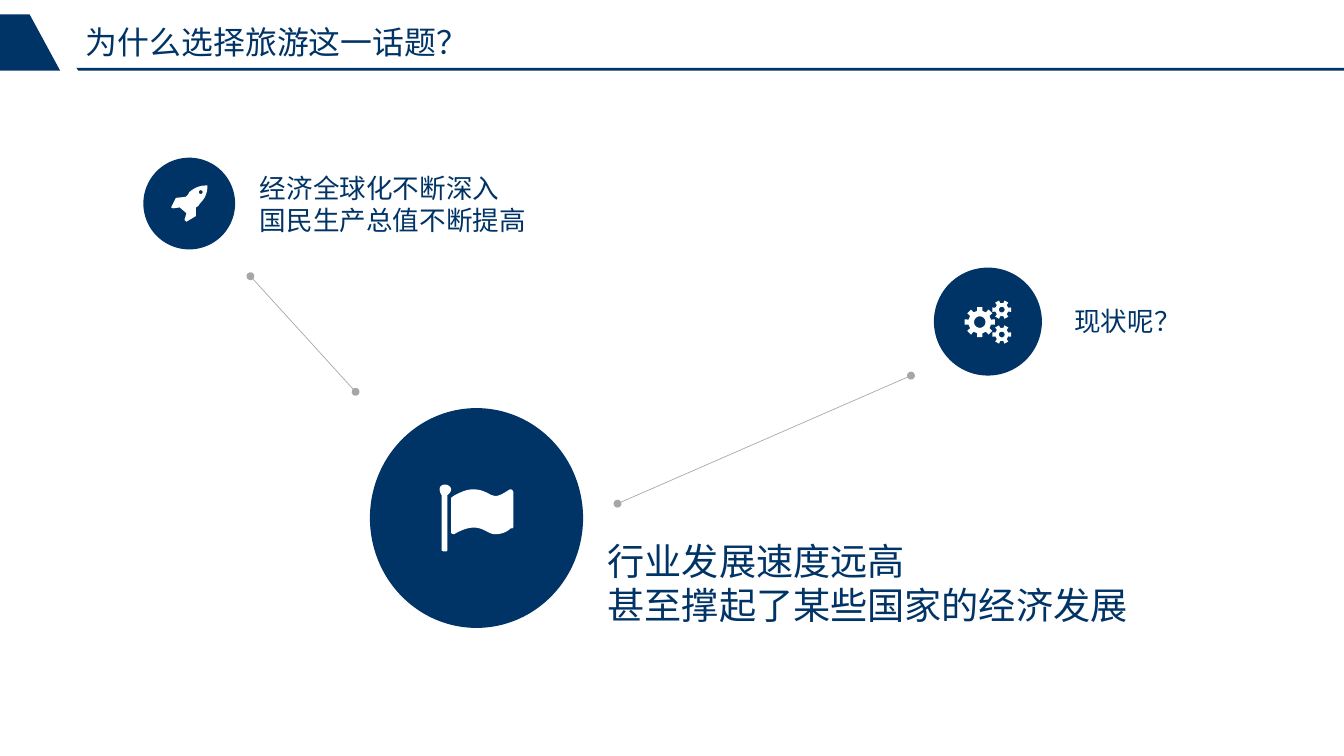
from math import cos, sin, pi, tau
from pptx import Presentation
from pptx import util as u
from pptx.dml.color import RGBColor
from pptx.enum import shapes, text
from pptx.oxml.ns import qn
from lxml import etree

NAVY = RGBColor(0x00, 0x33, 0x66)
GREY = RGBColor(0xA6, 0xA6, 0xA6)
WHITE = RGBColor(0xFF, 0xFF, 0xFF)
FONT = "Noto Sans CJK SC"

TEXTS = [
    (0.8, 0.19, 4.24, 0.5, 24, ["为什么选择旅游这一话题？"]),
    (2.62, 1.75, 3.01, 0.77, 20, ["经济全球化不断深入", "国民生产总值不断提高"]),
    (6.26, 5.58, 5.7, 1.04, 28, ["行业发展速度远高", "甚至撑起了某些国家的经济发展"]),
    (11.14, 3.14, 1.32, 0.44, 20, ["现状呢？"]),
]
DISCS = [(1.5, 1.65, 0.96, 0.96), (3.87, 4.27, 2.23, 2.3), (9.77, 2.8, 1.13, 1.13)]
LINKS = [(6.46, 5.27, 9.53, 3.93), (2.62, 2.89, 3.72, 4.1)]
RULE = [(0.8, 0.71), (14.06, 0.71), (14.06, 0.74), (0.82, 0.74)]
TAB = [(0.31, 0.15), (0.63, 0.74), (0, 0.74), (0, 0.15)]

ROCKET = [
    (2.09, 2.13), (2.08, 2.15, 2.07, 2.16, 2.05, 2.17), (2.05, 2.26), (1.95, 2.32),
    (1.93, 2.3), (1.95, 2.23), (1.88, 2.17), (1.81, 2.18), (1.79, 2.17), (1.84, 2.07),
    (1.94, 2.06), (1.96, 2.05, 1.97, 2.03, 1.98, 2.01), (2.04, 1.96, 2.09, 1.94, 2.17, 1.94),
    (2.17, 2.02, 2.15, 2.07, 2.09, 2.13),
]
POLE = [
    (4.68, 5.18), (4.68, 5.76), (4.67, 5.77), (4.64, 5.77), (4.62, 5.76), (4.62, 5.18),
    (4.61, 5.17, 4.6, 5.14, 4.6, 5.12), (4.6, 5.09, 4.62, 5.07, 4.66, 5.07),
    (4.68, 5.07, 4.72, 5.09, 4.72, 5.12), (4.72, 5.14, 4.7, 5.17, 4.68, 5.18),
]
CLOTH = [
    (5.37, 5.51), (5.37, 5.52, 5.37, 5.53, 5.34, 5.53), (5.3, 5.57, 5.24, 5.59, 5.18, 5.59),
    (5.11, 5.59, 5.06, 5.52, 4.96, 5.52), (4.89, 5.52, 4.82, 5.55, 4.75, 5.59),
    (4.73, 5.59, 4.72, 5.58, 4.72, 5.57), (4.72, 5.23), (4.72, 5.22, 4.72, 5.2, 4.73, 5.2),
    (4.76, 5.18), (4.82, 5.15, 4.88, 5.12, 4.95, 5.12), (5.02, 5.12, 5.07, 5.14, 5.14, 5.18),
    (5.15, 5.18, 5.17, 5.19, 5.18, 5.19), (5.25, 5.19, 5.32, 5.12, 5.34, 5.12),
    (5.36, 5.12, 5.37, 5.14, 5.37, 5.15),
]
GEARS = [
    (10.25, 3.37, 0.16, 0.12, 0.06, 8),
    (10.48, 3.24, 0.1, 0.07, 0.03, 6),
    (10.48, 3.5, 0.1, 0.07, 0.03, 6),
]


def bend(steps, count=8):
    points = [steps[0]]
    for step in steps[1:]:
        if len(step) == 2:
            points.append(step)
            continue
        start, one, two, end = points[-1], step[:2], step[2:4], step[4:]
        for i in range(1, count + 1):
            t = i / count
            s = 1 - t
            points.append(tuple(
                s**3 * a + 3 * s * s * t * b + 3 * s * t * t * c + t**3 * d
                for a, b, c, d in zip(start, one, two, end)))
    return points


def polar(x, y, radius, angle):
    return x + radius * cos(angle), y + radius * sin(angle)


def ring(x, y, radius, count=32):
    return [polar(x, y, radius, tau * i / count) for i in range(count)]


def gear(x, y, tip, root, hole, teeth):
    pitch = tau / teeth
    corners = [(root, -0.28), (tip, -0.22), (tip, 0.22), (root, 0.28)]
    edge = [polar(x, y, r, pitch * (i + part)) for i in range(teeth) for r, part in corners]
    return [edge, ring(x, y, hole)]


def paint(shape, color):
    shape.shadow.inherit = False
    shape.fill.solid()
    shape.fill.fore_color.rgb = color
    shape.line.fill.background()


def draw(tree, loops, color):
    loops = [[(u.Inches(x), u.Inches(y)) for x, y in loop] for loop in loops]
    pen = tree.build_freeform(*loops[0][0])
    for i, loop in enumerate(loops):
        if i:
            pen.move_to(*loop[0])
        pen.add_line_segments(loop[1:], close=True)
    paint(pen.convert_to_shape(), color)


def link(tree, ends):
    line = tree.add_connector(shapes.MSO_CONNECTOR.STRAIGHT, *map(u.Inches, ends))
    line.line.color.rgb = GREY
    line.line.width = u.Pt(0.5)
    stroke = line.line._get_or_add_ln()
    for tag in ("a:headEnd", "a:tailEnd"):
        etree.SubElement(stroke, qn(tag)).set("type", "oval")
    etree.SubElement(line._element.spPr, qn("a:effectLst"))


def write(tree, left, top, width, height, size, lines):
    frame = tree.add_textbox(*map(u.Inches, (left, top, width, height))).text_frame
    form = {"word_wrap": False, "auto_size": text.MSO_AUTO_SIZE.SHAPE_TO_FIT_TEXT}
    for name, value in form.items():
        setattr(frame, name, value)
    for i, words in enumerate(lines):
        para = frame.add_paragraph() if i else frame.paragraphs[0]
        para.line_spacing = u.Pt(size * 1.2)
        run = para.add_run()
        run.text = words
        for name, value in {"name": FONT, "size": u.Pt(size)}.items():
            setattr(run.font, name, value)
        run.font.color.rgb = NAVY
        etree.SubElement(run._r.get_or_add_rPr(), qn("a:ea")).set("typeface", FONT)


def main():
    deck = Presentation()
    deck.slide_width, deck.slide_height = u.Inches(14.06), u.Inches(7.91)
    tree = deck.slides.add_slide(deck.slide_layouts[6]).shapes
    icons = [
        [bend(ROCKET), ring(2.1, 2.01, 0.02)],
        [bend(POLE), bend(CLOTH)],
        [loop for wheel in GEARS for loop in gear(*wheel)],
    ]
    for disc, icon in zip(DISCS, icons):
        paint(tree.add_shape(shapes.MSO_SHAPE.OVAL, *map(u.Inches, disc)), NAVY)
        draw(tree, icon, WHITE)
    for ends in LINKS:
        link(tree, ends)
    for outline in (RULE, TAB):
        draw(tree, [outline], NAVY)
    for entry in TEXTS:
        write(tree, *entry)
    deck.save("out.pptx")


if __name__ == "__main__":
    main()
